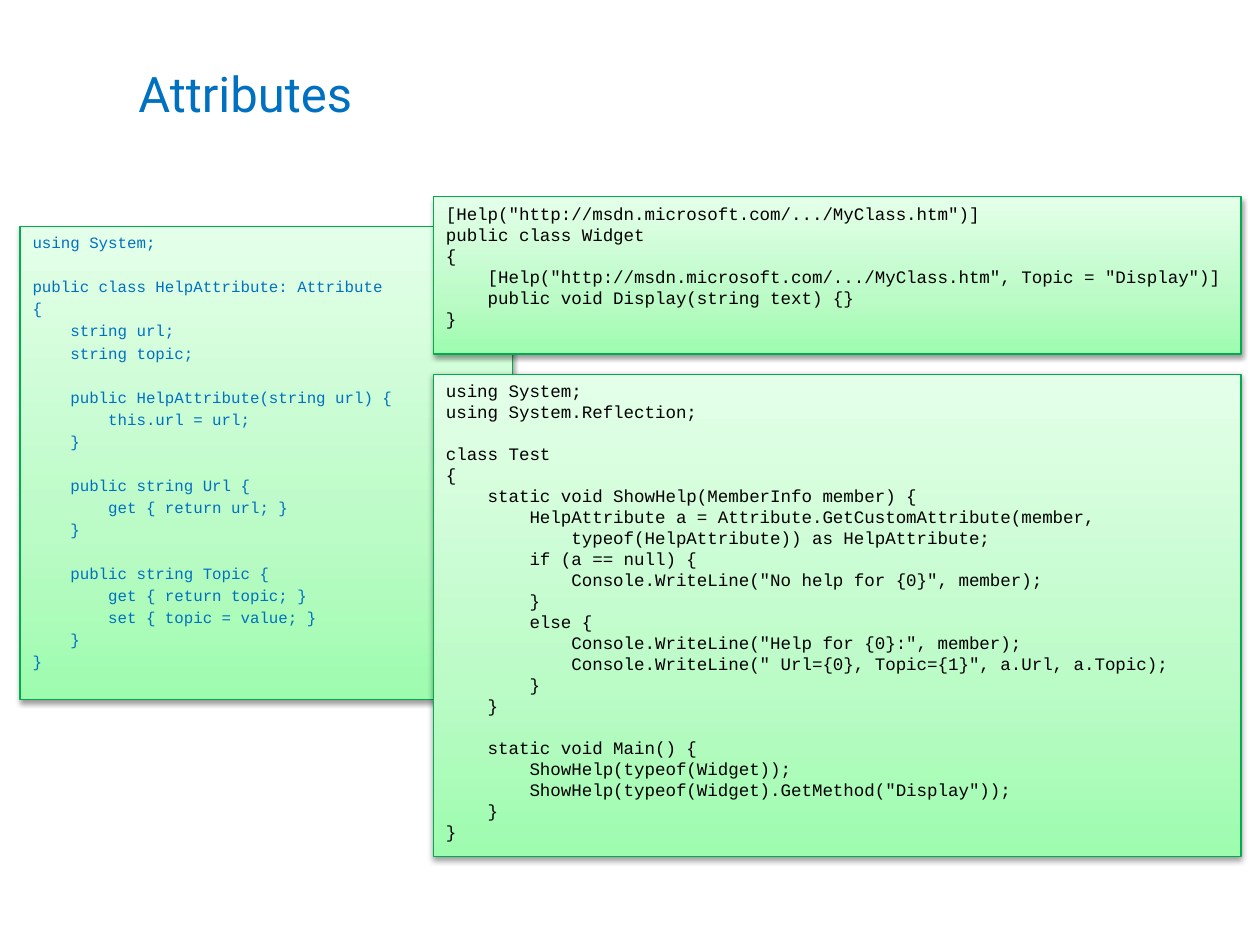
from pptx import Presentation
from pptx.dml.color import RGBColor
from pptx.enum.shapes import MSO_SHAPE as Shape
from pptx.enum.text import MSO_ANCHOR as Anchor, PP_ALIGN as Align
from pptx.oxml import parse_xml
from pptx.oxml.ns import nsdecls, qn
from pptx.util import Inches, Pt

BLUE = RGBColor(0x00, 0x70, 0xC0)
BLACK = RGBColor(0x00, 0x00, 0x00)
GREEN = RGBColor(0x00, 0xAC, 0x4E)
# Gradient stops from the bottom of a panel to its top
PANEL_STOPS = [
    (0, RGBColor(0x9D, 0xFC, 0xAE)),
    (35, RGBColor(0xBB, 0xFB, 0xC6)),
    (100, RGBColor(0xE4, 0xFF, 0xE9)),
]

ATTRIBUTE_CODE = """\
using System;

public class HelpAttribute: Attribute
{
    string url;
    string topic;

    public HelpAttribute(string url) {
        this.url = url;
    }

    public string Url {
        get { return url; }
    }

    public string Topic {
        get { return topic; }
        set { topic = value; }
    }
}"""

WIDGET_CODE = """\
[Help("http://msdn.microsoft.com/.../MyClass.htm")]
public class Widget
{
    [Help("http://msdn.microsoft.com/.../MyClass.htm", Topic = "Display")]
    public void Display(string text) {}
}"""

TEST_CODE = """\
using System;
using System.Reflection;

class Test
{
    static void ShowHelp(MemberInfo member) {
        HelpAttribute a = Attribute.GetCustomAttribute(member,
            typeof(HelpAttribute)) as HelpAttribute;
        if (a == null) {
            Console.WriteLine("No help for {0}", member);
        }
        else {
            Console.WriteLine("Help for {0}:", member);
            Console.WriteLine(" Url={0}, Topic={1}", a.Url, a.Topic);
        }
    }

    static void Main() {
        ShowHelp(typeof(Widget));
        ShowHelp(typeof(Widget).GetMethod("Display"));
    }
}"""


class SlideBuilder:
    title_font = "Roboto"
    code_font = "Courier New"
    line_pitch = 1.2  # line height as a multiple of the text size

    def __init__(self, slide):
        self.slide = slide

    def add_run(self, para, text, font, size, color):
        span = para.add_run()
        span.text = text
        span.font.name = font
        span.font.size = Pt(size)
        span.font.color.rgb = color

    def title(self, text, left, top, width, height):
        box = self.slide.shapes.add_textbox(
            Inches(left), Inches(top), Inches(width), Inches(height))
        frame = box.text_frame
        frame.word_wrap = True
        frame.vertical_anchor = Anchor.MIDDLE
        self.add_run(frame.paragraphs[0], text, self.title_font, 28, BLUE)

    def panel(self, left, top, width, height):
        box = self.slide.shapes.add_shape(
            Shape.RECTANGLE,
            Inches(left), Inches(top), Inches(width), Inches(height))
        box.line.color.rgb = GREEN
        box.line.width = Pt(0.75)
        # Vertical gradient, placed right after the geometry
        stops = "".join(
            f'<a:gs pos="{place * 1000}"><a:srgbClr val="{color}"/></a:gs>'
            for place, color in PANEL_STOPS)
        properties = box._element.spPr
        properties.insert(2, parse_xml(
            f'<a:gradFill {nsdecls("a")} rotWithShape="1">'
            f'<a:gsLst>{stops}</a:gsLst>'
            '<a:lin ang="16200000" scaled="0"/></a:gradFill>'))
        # Soft shadow below
        box.shadow.inherit = False
        properties.find(qn("a:effectLst")).append(parse_xml(
            f'<a:outerShdw {nsdecls("a")} blurRad="{Pt(3.1)}" '
            f'dist="{Pt(1.6)}" dir="5400000" rotWithShape="0">'
            '<a:srgbClr val="000000"><a:alpha val="38000"/></a:srgbClr>'
            '</a:outerShdw>'))
        return box

    def code(self, text, left, top, width, height, size, color, gap=0):
        """Code panel; gap is the space between lines in points."""
        frame = self.panel(left, top, width, height).text_frame
        frame.word_wrap = True
        frame.vertical_anchor = Anchor.TOP
        pitch = size * self.line_pitch
        para, space = frame.paragraphs[0], 0
        for index, line in enumerate(text.split("\n")):
            if not line:
                space += pitch + gap  # an empty line widens the next gap
                continue
            if index:
                para = frame.add_paragraph()
            para.alignment = Align.LEFT
            para.line_spacing = Pt(pitch)
            para.space_before = Pt(space)
            self.add_run(para, line, self.code_font, size, color)
            space = gap


def main():
    deck = Presentation()
    deck.slide_width, deck.slide_height = Inches(10), Inches(7.5)
    page = SlideBuilder(deck.slides.add_slide(deck.slide_layouts[6]))

    # Heading
    page.title("Attributes", 1, 0.17, 8.75, 1.14)

    # Attribute class on the left, its use and its test on the right
    page.code(ATTRIBUTE_CODE, 0.16, 1.8, 3.91, 3.75, 9, BLUE, gap=1.8)
    page.code(WIDGET_CODE, 3.44, 1.56, 6.41, 1.25, 10, BLACK)
    page.code(TEST_CODE, 3.44, 2.97, 6.41, 3.83, 10, BLACK)

    deck.save("out.pptx")


if __name__ == "__main__":
    main()
